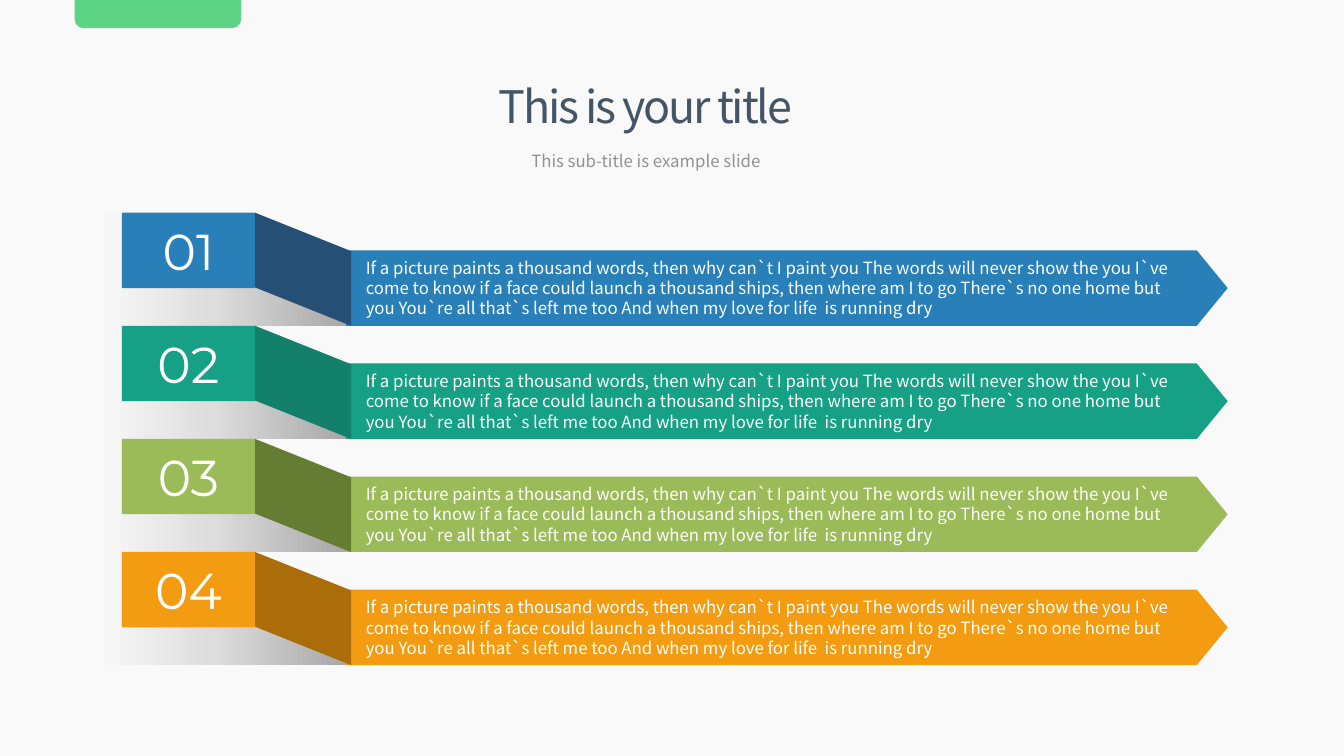
"""Build a slide with four numbered folded ribbons."""
import copy

import pptx
import pptx.util
import pptx.dml.color
import pptx.enum.shapes
import pptx.enum.text
import pptx.oxml.ns

Cm = pptx.util.Cm
SHAPE = pptx.enum.shapes.MSO_SHAPE
ALIGN = pptx.enum.text.PP_ALIGN
ANCHOR = pptx.enum.text.MSO_ANCHOR


def rgb(value):
    return pptx.dml.color.RGBColor.from_string(value)


class Deck:
    body_font = "Noto Sans CJK KR"
    number_font = "Montserrat"
    background = "F9F9F9"
    white = "FFFFFF"
    shadow_stops = [(0, "A6A6A6"), (0.5, "DDDDDD"), (0.93, "F9F9F9"), (1, "F9F9F9")]

    def __init__(self, width, height):
        self.prs = pptx.Presentation()
        self.prs.slide_width, self.prs.slide_height = Cm(width), Cm(height)
        self.s = self.prs.slides.add_slide(self.prs.slide_layouts[6])
        self.s.background.fill.solid()
        self.s.background.fill.fore_color.rgb = rgb(self.background)

    def add_text(self, sp, text, size, font, color, align, spacing=0):
        tf = sp.text_frame
        tf.word_wrap = True
        p = tf.paragraphs[0]
        p.alignment = align
        r = p.add_run()
        r.text = text
        r.font.size, r.font.name = pptx.util.Pt(size), font
        r.font.color.rgb = rgb(color)
        rPr = r._r.get_or_add_rPr()
        ea = rPr.makeelement(pptx.oxml.ns.qn("a:ea"), {"typeface": font})
        rPr.find(pptx.oxml.ns.qn("a:latin")).addnext(ea)
        if spacing:
            rPr.set("spc", str(spacing))
        return tf

    def heading(self, x, y, w, h, text, size, color, spacing=0):
        sp = self.s.shapes.add_textbox(Cm(x), Cm(y), Cm(w), Cm(h))
        self.add_text(sp, text, size, self.body_font, color, ALIGN.CENTER, spacing)

    def shape(self, kind, x, y, w, h, color, adjustments=(), rotation=0):
        sp = self.s.shapes.add_shape(kind, Cm(x), Cm(y), Cm(w), Cm(h))
        sp.shadow.inherit = False
        sp.fill.solid()
        sp.fill.fore_color.rgb = rgb(color)
        sp.line.fill.background()
        sp.rotation = rotation
        for i, value in enumerate(adjustments):
            sp.adjustments[i] = value
        return sp

    def number(self, x, y, w, h, text, color):
        sp = self.shape(SHAPE.RECTANGLE, x, y, w, h, color)
        tf = self.add_text(sp, text, 36, self.number_font, self.white, ALIGN.CENTER)
        tf.vertical_anchor = ANCHOR.MIDDLE

    def arrow(self, x, y, w, h, text, color):
        sp = self.shape(SHAPE.PENTAGON, x, y, w, h, color, [0.41])
        tf = self.add_text(sp, text, 12, self.body_font, self.white, ALIGN.LEFT)
        tf.vertical_anchor = ANCHOR.MIDDLE
        tf.margin_left = tf.margin_right = Cm(0.5)

    def fold(self, x, y, w, h, color):
        left, top = x + (w - h) / 2, y + (h - w) / 2
        self.shape(SHAPE.PARALLELOGRAM, left, top, h, w, color, [0.4], 270)

    def cast_shadow(self, x, y, w, h, top_width):
        fb = self.s.shapes.build_freeform(Cm(x), Cm(y))
        corners = [(x + top_width, y), (x + w, y + h), (x, y + h)]
        fb.add_line_segments([(Cm(a), Cm(b)) for a, b in corners])
        sp = fb.convert_to_shape()
        sp.shadow.inherit = False
        sp.line.fill.background()
        sp.fill.gradient()
        sp.fill.gradient_angle = 180
        stops = sp._element.spPr.find(".//" + pptx.oxml.ns.qn("a:gsLst"))
        for gs in list(stops):
            stops.append(copy.deepcopy(gs))
        for stop, (position, color) in zip(sp.fill.gradient_stops, self.shadow_stops):
            stop.position = position
            stop.color.rgb = rgb(color)


def main():
    deck = Deck(33.87, 19.05)
    deck.heading(11.25, 1.85, 10.03, 1.63, "This is your title", 32, "445566", -150)
    deck.heading(11.86, 3.68, 8.84, 0.76, "This sub-title is example slide", 12, "929292")
    deck.shape(SHAPE.ROUND_2_SAME_RECTANGLE, 1.88, 0, 4.2, 0.71, "5CD484", [0, 0.32])

    message = (
        "If a picture paints a thousand words, then why can`t I paint you "
        "The words will never show the you I`ve come to know if a face could launch "
        "a thousand ships, then where am I to go There`s no one home but you "
        "You`re all that`s left me too And when my love for life  is running dry"
    )
    colors = [("2980B9", "254F75"), ("16A085", "12806B"),
              ("9BBB59", "647D33"), ("F39C12", "AB6D09")]
    top, pitch, band = 5.36, 2.85, 1.9
    for i, (color, dark) in enumerate(colors):
        y = top + i * pitch
        deck.cast_shadow(1.93, y, 6.91, pitch, 4.32)
        deck.number(3.07, y, 3.36, band, f"{i + 1:02d}", color)
        deck.arrow(8.72, y + pitch - band, 22.22, band, message, color)
        deck.fold(6.43, y, 2.42, pitch, dark)

    deck.prs.save("out.pptx")


if __name__ == "__main__":
    main()
